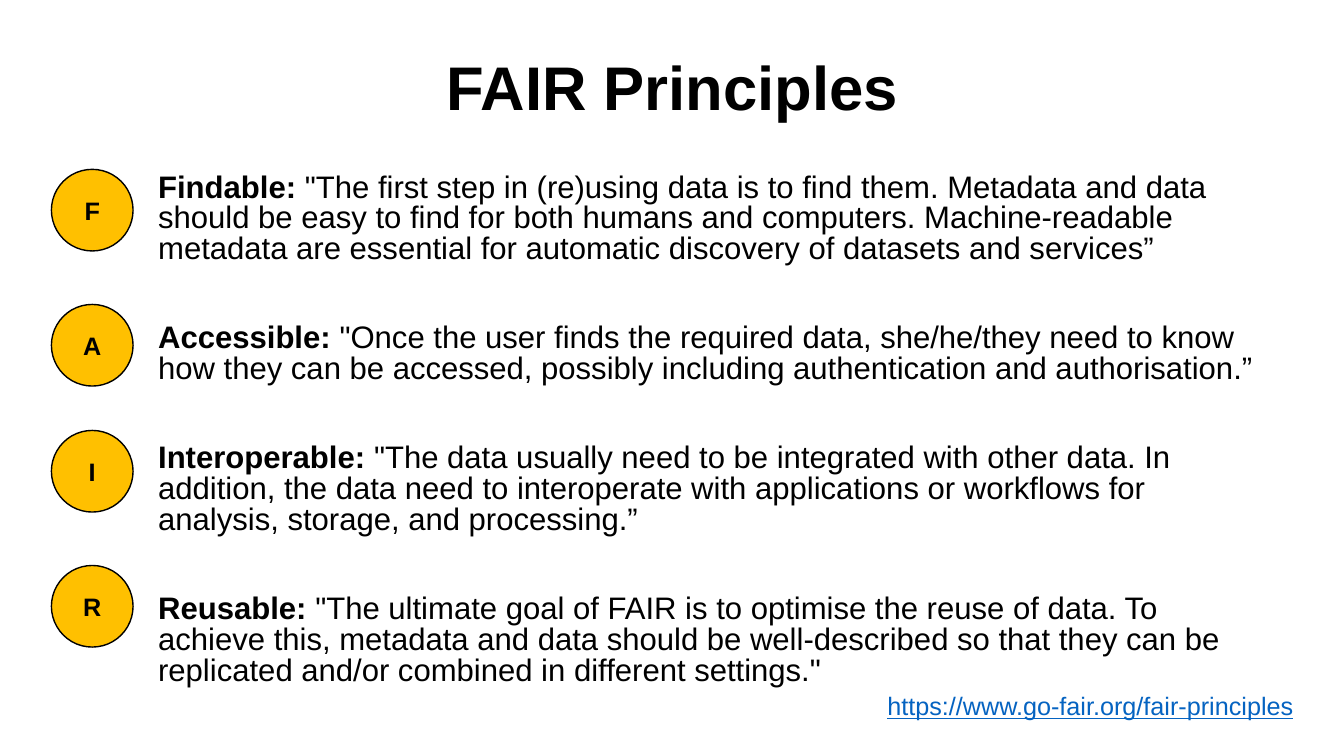
from pptx import Presentation
from pptx.dml.color import RGBColor
from pptx.enum.shapes import MSO_SHAPE
from pptx.enum.text import MSO_ANCHOR, PP_ALIGN
from pptx.util import Inches, Pt

TITLE = "FAIR Principles"
# (name, explanation, top of its circle in inches)
PRINCIPLES = [
    ("Findable", "\"The first step in (re)using data is to find them. Metadata and data "
     "should be easy to find for both humans and computers. Machine-readable metadata "
     "are essential for automatic discovery of datasets and services”", 1.68),
    ("Accessible", "\"Once the user finds the required data, she/he/they need to know how "
     "they can be accessed, possibly including authentication and authorisation.”", 3.02),
    ("Interoperable", "\"The data usually need to be integrated with other data. In "
     "addition, the data need to interoperate with applications or workflows for "
     "analysis, storage, and processing.”", 4.27),
    ("Reusable", "\"The ultimate goal of FAIR is to optimise the reuse of data. To achieve "
     "this, metadata and data should be well-described so that they can be replicated "
     "and/or combined in different settings.\"", 5.61),
]
SOURCE_ADDRESS = "https://www.go-fair.org/fair-principles"

THEME = {
    "font": "Arial",
    "text": RGBColor.from_string("000000"),
    "circle": RGBColor.from_string("FFC000"),
    "address": RGBColor.from_string("0563C1"),
    "title_size": 44,
    "body_size": 22.2,
    "small_size": 18,
}
CIRCLE_LEFT, CIRCLE_SIZE = 0.51, 0.81
PRINCIPLE_GAP = 41.5


def write(paragraph, text, *, size, bold=False, underline=False, color=THEME["text"]):
    run = paragraph.add_run()
    run.text = text
    run.font.name = THEME["font"]
    run.font.size = Pt(size)
    run.font.bold = bold
    run.font.underline = underline
    run.font.color.rgb = color


def add_frame(slide, left, top, width, height, anchor=MSO_ANCHOR.TOP):
    box = slide.shapes.add_textbox(Inches(left), Inches(top), Inches(width), Inches(height))
    frame = box.text_frame
    frame.word_wrap = True
    frame.vertical_anchor = anchor
    return frame


def add_circle(slide, letter, top):
    circle = slide.shapes.add_shape(MSO_SHAPE.OVAL, Inches(CIRCLE_LEFT), Inches(top),
                                    Inches(CIRCLE_SIZE), Inches(CIRCLE_SIZE))
    circle.shadow.inherit = False
    circle.fill.solid()
    circle.fill.fore_color.rgb = THEME["circle"]
    circle.line.color.rgb = THEME["text"]
    circle.line.width = Pt(1)
    circle.text_frame.vertical_anchor = MSO_ANCHOR.MIDDLE
    label = circle.text_frame.paragraphs[0]
    label.alignment = PP_ALIGN.CENTER
    write(label, letter, size=THEME["small_size"], bold=True)


def main():
    deck = Presentation()
    deck.slide_width, deck.slide_height = Inches(13.33), Inches(7.5)
    slide = deck.slides.add_slide(deck.slide_layouts[6])

    title = add_frame(slide, 0.92, 0.33, 11.5, 1.13, MSO_ANCHOR.MIDDLE).paragraphs[0]
    title.alignment = PP_ALIGN.CENTER
    title.line_spacing = 0.9
    write(title, TITLE, size=THEME["title_size"], bold=True)

    body = add_frame(slide, 1.47, 1.67, 11.15, 5.1)
    for index, (name, explanation, circle_top) in enumerate(PRINCIPLES):
        principle = body.add_paragraph() if index else body.paragraphs[0]
        principle.line_spacing = 0.83
        principle.space_before = Pt(PRINCIPLE_GAP if index else 0)
        write(principle, f"{name}: ", size=THEME["body_size"], bold=True)
        write(principle, explanation, size=THEME["body_size"])
        add_circle(slide, name[0], circle_top)

    address = add_frame(slide, 8.56, 6.8, 4.51, 0.4).paragraphs[0]
    address.alignment = PP_ALIGN.CENTER
    write(address, SOURCE_ADDRESS, size=THEME["small_size"], underline=True,
          color=THEME["address"])

    deck.save("out.pptx")


if __name__ == "__main__":
    main()
